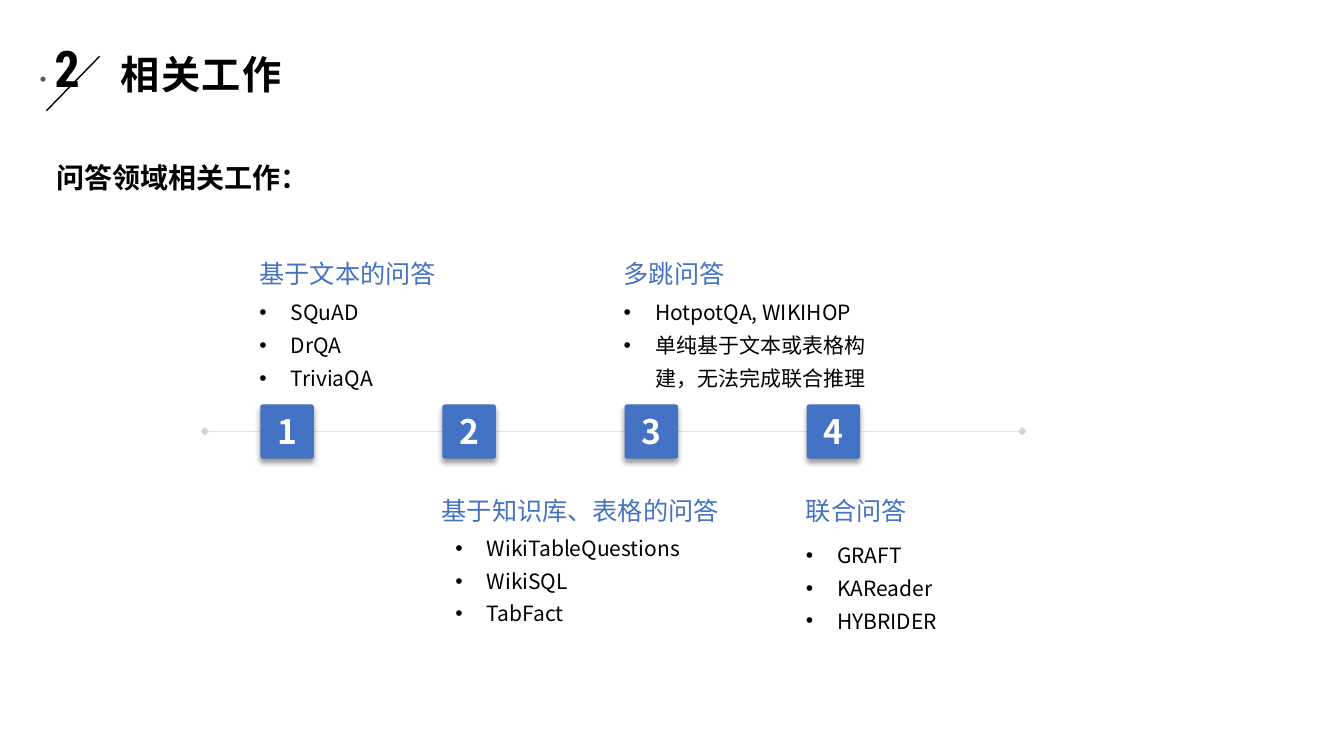
from lxml import etree
from pptx import Presentation
from pptx.dml.color import RGBColor
from pptx.enum import shapes, text
from pptx.oxml.ns import qn
from pptx.util import Cm, Pt

BLACK = RGBColor(0x00, 0x00, 0x00)
WHITE = RGBColor(0xFF, 0xFF, 0xFF)
BLUE = RGBColor(0x44, 0x72, 0xC4)
GREY = RGBColor(0x80, 0x80, 0x80)
DOT_GREY = RGBColor(0x52, 0x52, 0x52)
SANS = "Noto Sans CJK SC"

FIRST_LEFT, COLUMN_STEP = 6.56, 4.59
BADGE_TOP, BADGE_WIDTH, BADGE_HEIGHT = 10.19, 1.35, 1.37
TEXT_OFFSET = -0.27

# heading, heading top, heading width, list offset, list top, list width, items
TOPICS = [
    ("基于文本的问答", 6.15, 5.0, TEXT_OFFSET, 7.24, 5.44,
     ["SQuAD", "DrQA", "TriviaQA"]),
    ("基于知识库、表格的问答", 12.14, 7.57, 0.08, 13.18, 6.4,
     ["WikiTableQuestions", "WikiSQL", "TabFact"]),
    ("多跳问答", 6.15, 3.07, TEXT_OFFSET, 7.24, 7.04,
     ["HotpotQA, WIKIHOP", "单纯基于文本或表格构建，无法完成联合推理"]),
    ("联合问答", 12.14, 3.07, TEXT_OFFSET, 13.36, 6.81,
     ["GRAFT", "KAReader", "HYBRIDER"]),
]


def add_child(parent, tag, **attributes):
    child = etree.SubElement(parent, qn(tag))
    for name, value in attributes.items():
        child.set(name, str(value))
    return child


def set_opacity(element, percent):
    """Make the first colour inside an element partly transparent."""
    colour = next(element.iter(qn("a:srgbClr")))
    add_child(colour, "a:alpha", val=percent * 1000)


def write(para, content, size, color=BLACK, font=SANS, bold=False,
          spacing=None, tracking=None, bullet=False):
    if bullet:
        props = para._p.get_or_add_pPr()
        props.set("marL", str(Cm(0.79)))
        props.set("indent", str(-Cm(0.79)))
        add_child(props, "a:buFont", typeface="Arial")
        add_child(props, "a:buChar", char="•")
    if spacing:
        para.line_spacing = spacing
    span = para.add_run()
    span.text = content
    span.font.size = Pt(size)
    span.font.bold = bold
    span.font.color.rgb = color
    span.font.name = font
    add_child(span._r.rPr, "a:ea", typeface=SANS)
    if tracking:
        span._r.rPr.set("spc", str(tracking * 100))


def add_text(page, left, top, width, height, lines, wrap=True, **style):
    box = page.shapes.add_textbox(Cm(left), Cm(top), Cm(width), Cm(height))
    frame = box.text_frame
    frame.word_wrap = wrap
    frame.auto_size = text.MSO_AUTO_SIZE.SHAPE_TO_FIT_TEXT
    for index, line in enumerate(lines):
        para = frame.add_paragraph() if index else frame.paragraphs[0]
        write(para, line, **style)


def add_line(page, start, end, color, width):
    line = page.shapes.add_connector(
        shapes.MSO_CONNECTOR.STRAIGHT, *map(Cm, start + end))
    line.line.color.rgb = color
    line.line.width = Pt(width)
    add_child(line._element.spPr, "a:effectLst")
    return line


def add_shape(page, kind, left, top, width, height, color):
    shape = page.shapes.add_shape(kind, Cm(left), Cm(top), Cm(width), Cm(height))
    shape.shadow.inherit = False
    shape.fill.solid()
    shape.fill.fore_color.rgb = color
    shape.line.fill.background()
    return shape


def add_header(page):
    add_text(page, 1.12, 0.81, 1.57, 1.8, ["2"], size=36,
             font="Roboto Condensed", bold=True)
    add_line(page, (2.51, 1.42), (1.17, 2.79), BLACK, 1)
    dot = add_shape(page, shapes.MSO_SHAPE.OVAL, 1.02, 1.93, 0.13, 0.13, DOT_GREY)
    set_opacity(dot._element.spPr, 96)
    add_text(page, 2.79, 1.14, 19.4, 1.45, ["相关工作"], size=28,
             font="Times New Roman", bold=True, tracking=1)
    add_text(page, 1.17, 3.91, 28.88, 1.12, ["问答领域相关工作："],
             size=20, bold=True)


def add_timeline(page):
    axis = add_line(page, (5.16, 10.87), (25.76, 10.87), GREY, 0.25)
    set_opacity(axis._element.spPr, 33)
    outline = axis.line._get_or_add_ln()
    add_child(outline, "a:headEnd", type="diamond")
    add_child(outline, "a:tailEnd", type="diamond")


def add_badge(page, left, number):
    badge = add_shape(page, shapes.MSO_SHAPE.ROUNDED_RECTANGLE, left, BADGE_TOP,
                      BADGE_WIDTH, BADGE_HEIGHT, BLUE)
    badge.adjustments[0] = 0.05
    effects = badge._element.spPr.find(qn("a:effectLst"))
    shadow = add_child(effects, "a:outerShdw", blurRad=Pt(4), dist=Pt(3),
                       dir=90 * 60000, algn="t", rotWithShape=0)
    add_child(shadow, "a:srgbClr", val=BLACK)
    set_opacity(shadow, 40)
    frame = badge.text_frame
    frame.vertical_anchor = text.MSO_ANCHOR.MIDDLE
    para = frame.paragraphs[0]
    para.alignment = text.PP_ALIGN.CENTER
    write(para, str(number), size=24, color=WHITE, bold=True)


def add_topic(page, left, heading, heading_top, heading_width,
              list_offset, list_top, list_width, items):
    add_text(page, left + TEXT_OFFSET, heading_top, heading_width, 1.17, [heading],
             wrap=False, size=18, color=BLUE, spacing=1.3)
    add_text(page, left + list_offset, list_top, list_width, 2.67, items,
             size=15, spacing=1.3, bullet=True)


def main():
    deck = Presentation()
    deck.slide_width, deck.slide_height = Cm(33.87), Cm(19.05)
    page = deck.slides.add_slide(deck.slide_layouts[6])
    add_header(page)
    add_timeline(page)
    for index, topic in enumerate(TOPICS):
        left = FIRST_LEFT + index * COLUMN_STEP
        add_badge(page, left, index + 1)
        add_topic(page, left, *topic)
    deck.save("out.pptx")


if __name__ == "__main__":
    main()
